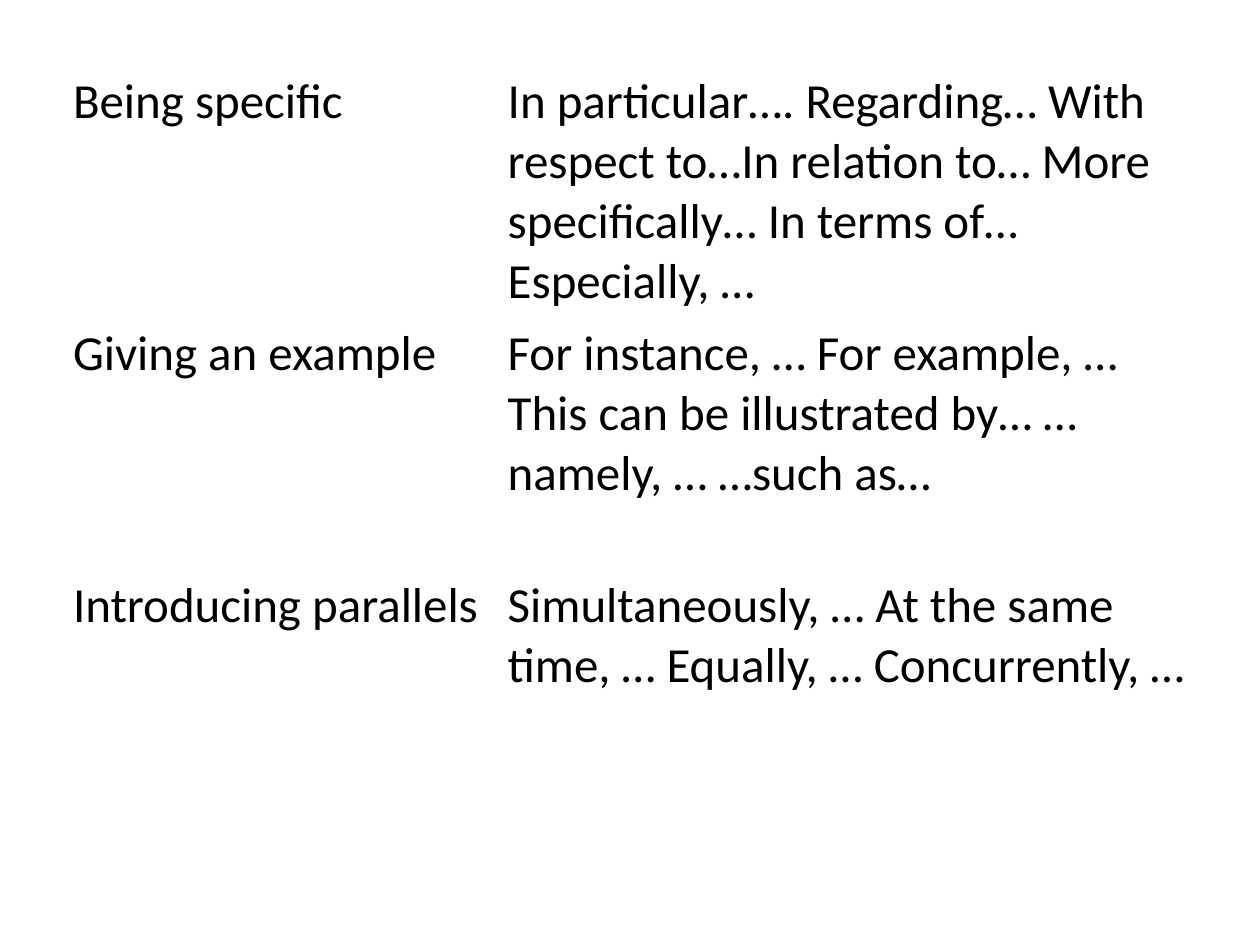
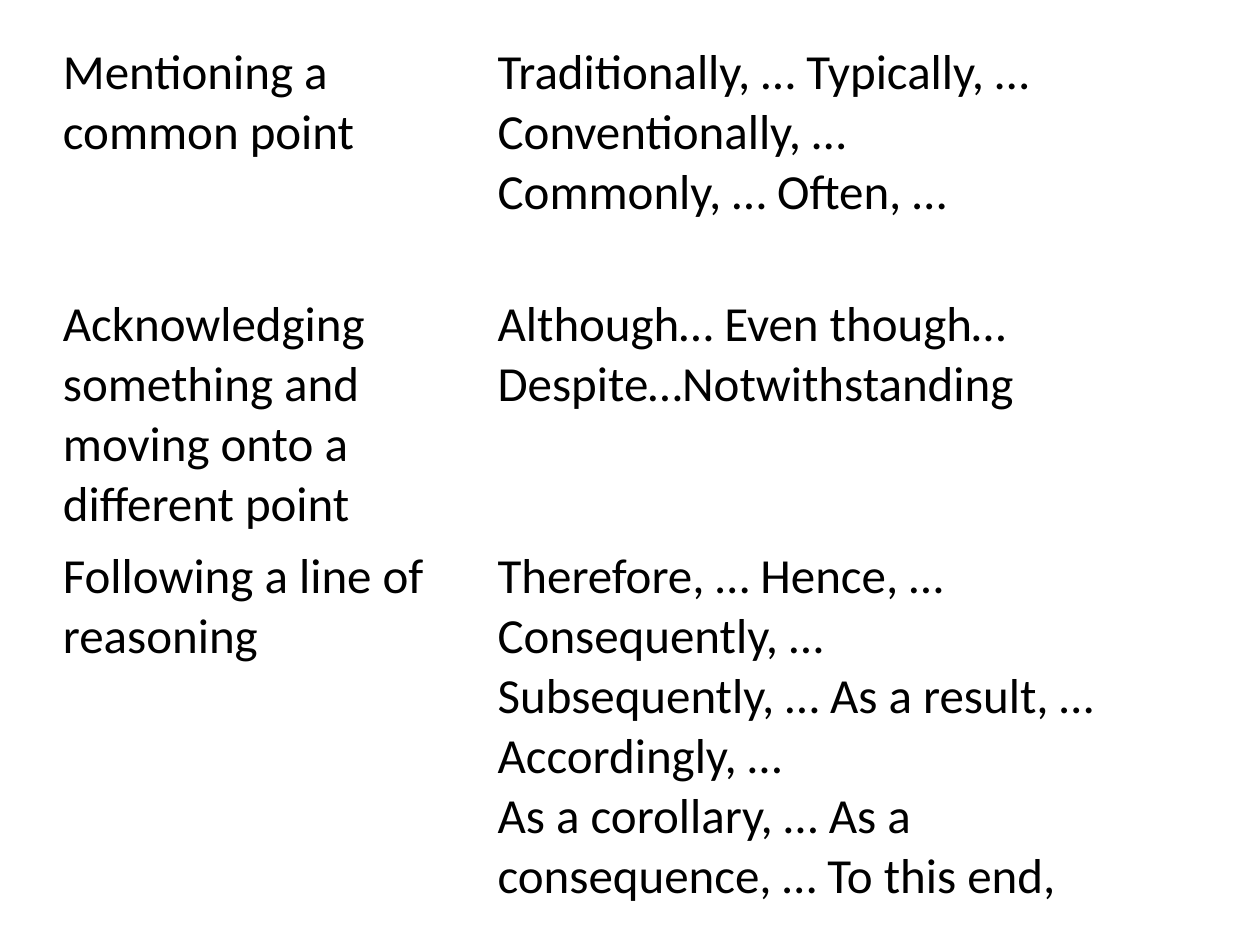
import pptx
import pptx.dml.color
import pptx.util

Inches = pptx.util.Inches

# Content: table position, row heights, and (purpose, phrases) rows
SLIDES = [
    {
        "left": 0.51, "top": 0.52, "heights": [2.0, 2.0, 1.43],
        "rows": [
            ("Being specific",
             ["In particular…. Regarding… With respect to…In relation to… "
              "More specifically… In terms of…Especially, …"]),
            ("Giving an example",
             ["For instance, … For example, … This can be illustrated by… "
              "…namely, … …such as…"]),
            ("Introducing parallels",
             ["Simultaneously, … At the same time, … Equally, … "
              "Concurrently, …"]),
        ],
    },
    {
        "left": 0.43, "top": 0.29, "heights": [2.0, 2.0, 2.83],
        "rows": [
            ("Mentioning a common point",
             ["Traditionally, … Typically, … Conventionally, …",
              "Commonly, … Often, …"]),
            ("Acknowledging something and moving onto a different point",
             ["Although… Even though… Despite…Notwithstanding"]),
            ("Following a line of reasoning",
             ["Therefore, … Hence, … Consequently, …",
              "Subsequently, … As a result, … Accordingly, …",
              "As a corollary, … As a consequence, … To this end,"]),
        ],
    },
]

# Shared style
COLUMN_WIDTHS = [3.45, 5.61]
SIDE_MARGIN, END_MARGIN = 0.07, 0.05
FONT, TEXT_SIZE, TEXT_COLOUR = "Calibri", 28, "000000"


def colour(value):
    return pptx.dml.color.RGBColor.from_string(value)


def write_text(frame, lines, size=TEXT_SIZE, font=FONT, fill=TEXT_COLOUR):
    for index, line in enumerate(lines):
        para = frame.paragraphs[0] if index == 0 else frame.add_paragraph()
        span = para.add_run()
        span.text = line
        span.font.name = font
        span.font.size = pptx.util.Pt(size)
        span.font.bold = False
        span.font.color.rgb = colour(fill)


def fill_cell(cell, lines):
    cell.fill.background()
    cell.margin_left = cell.margin_right = Inches(SIDE_MARGIN)
    cell.margin_top = cell.margin_bottom = Inches(END_MARGIN)
    write_text(cell.text_frame, lines)


def add_phrase_table(page, left, top, heights, rows):
    table = page.shapes.add_table(
        len(rows), len(COLUMN_WIDTHS), Inches(left), Inches(top),
        Inches(sum(COLUMN_WIDTHS)), Inches(sum(heights))).table
    table.first_row = table.horz_banding = False
    for column, width in zip(table.columns, COLUMN_WIDTHS):
        column.width = Inches(width)
    for row, height, (purpose, phrases) in zip(table.rows, heights, rows):
        row.height = Inches(height)
        fill_cell(row.cells[0], [purpose])
        fill_cell(row.cells[1], phrases)


def main():
    deck = pptx.Presentation()
    deck.slide_width, deck.slide_height = Inches(10), Inches(7.5)
    blank_layout = deck.slide_layouts[6]
    for content in SLIDES:
        page = deck.slides.add_slide(blank_layout)
        add_phrase_table(page, **content)
    deck.save("out.pptx")


if __name__ == "__main__":
    main()
